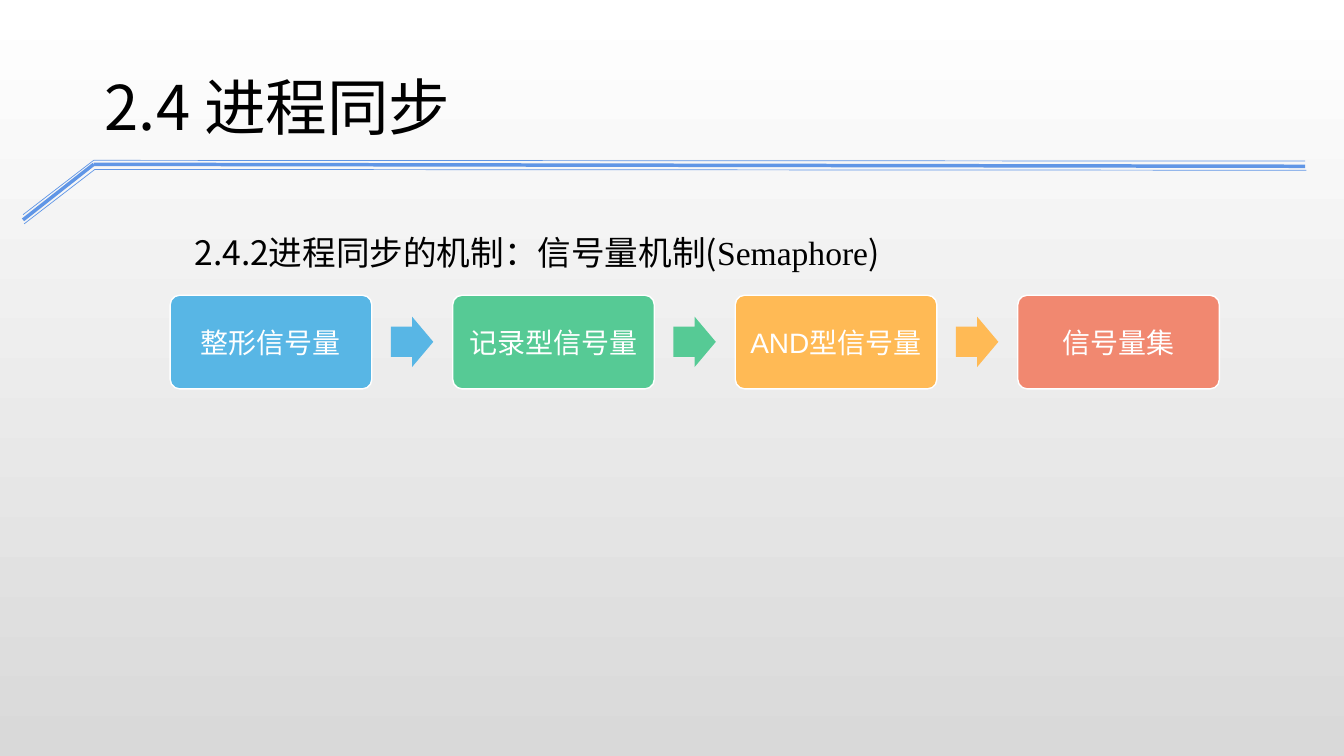
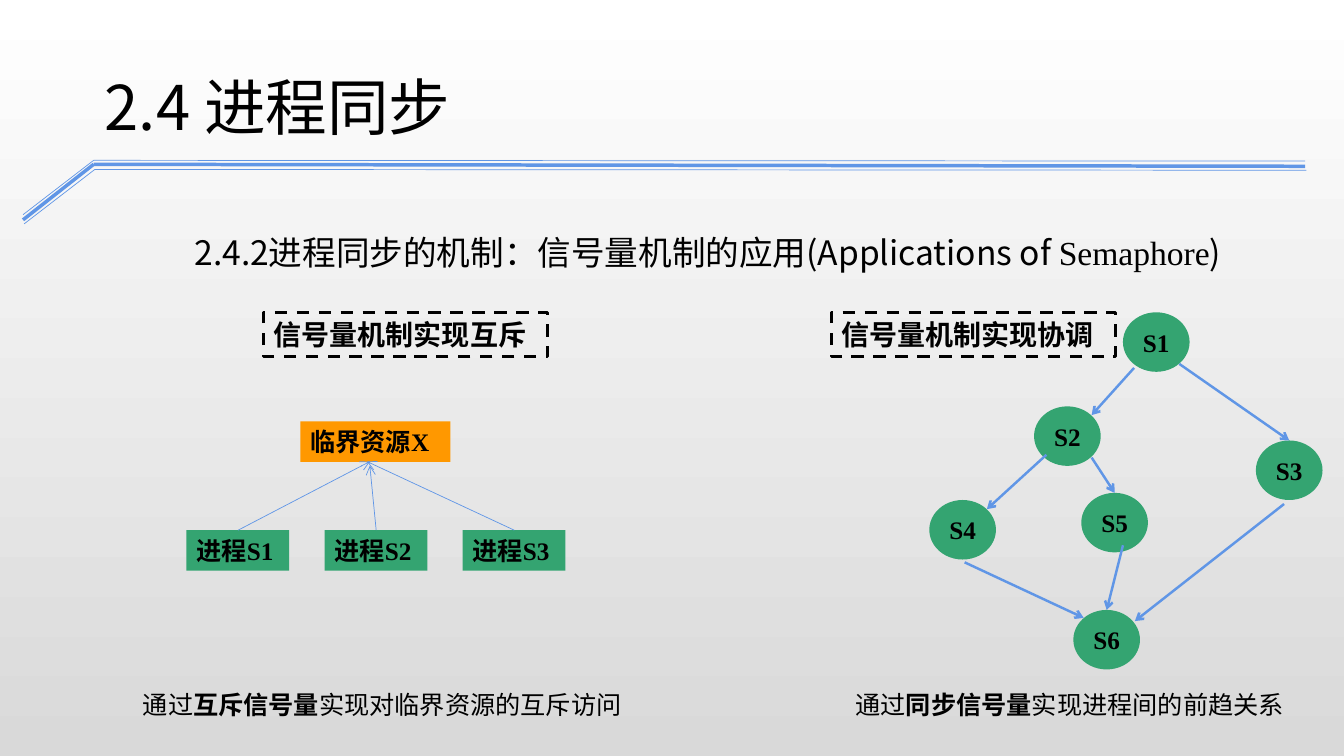
from lxml import etree
from pptx import Presentation
from pptx.dml.color import RGBColor
from pptx.enum import dml, shapes, text
from pptx.oxml import ns
from pptx.util import Cm, Pt

rgb = RGBColor.from_string
SHAPE = shapes.MSO_SHAPE
SANS, ARIAL, TIMES = "Noto Sans CJK JP", "Arial", "Times New Roman"
BLACK, WHITE, BLUE, GREEN, ORANGE = "000000", "FFFFFF", "6096E6", "34A471", "FF9800"


def add_box(s, kind, at, runs=(), size=18, color=BLACK, fill=None, center=False, inset=None):
    at = [Cm(v) for v in at]
    if kind is None:
        sp = s.shapes.add_textbox(*at)
    else:
        sp = s.shapes.add_shape(kind, *at)
        sp.shadow.inherit = False
        sp.line.fill.background()
        if fill:
            sp.fill.solid()
            sp.fill.fore_color.rgb = rgb(fill)
        else:
            sp.fill.background()
    tf = sp.text_frame
    tf.word_wrap = True
    tf.vertical_anchor = text.MSO_ANCHOR.MIDDLE if center else text.MSO_ANCHOR.TOP
    if inset is not None:
        tf.margin_left = tf.margin_right = tf.margin_top = tf.margin_bottom = Cm(inset)
    p = tf.paragraphs[0]
    p.alignment = text.PP_ALIGN.CENTER if center else text.PP_ALIGN.LEFT
    for words, font, bold in runs:
        r = p.add_run()
        r.text = words
        r.font.size, r.font.name, r.font.bold = Pt(size), font, bold
        r.font.color.rgb = rgb(color)
        etree.SubElement(r.font._element, ns.qn("a:ea"), typeface=SANS)
    return sp


def add_line(s, x1, y1, x2, y2, width, arrow=False):
    c = s.shapes.add_connector(shapes.MSO_CONNECTOR.STRAIGHT, Cm(x1), Cm(y1), Cm(x2), Cm(y2))
    c.line.color.rgb = rgb(BLUE)
    c.line.width = Pt(width)
    if arrow:
        etree.SubElement(c.line._get_or_add_ln(), ns.qn("a:tailEnd"), type="arrow")
    etree.SubElement(c._element.spPr, ns.qn("a:effectLst"))


prs = Presentation()
prs.slide_width, prs.slide_height = Cm(33.87), Cm(19.05)

bg = prs.slide_master.background.fill
bg.gradient()
bg.gradient_angle = 270
for stop, color, position in zip(bg.gradient_stops, (WHITE, "D9D9D9"), (0, 1)):
    stop.color.rgb = rgb(color)
    stop.position = position

bands = [
    ((0.58, 5.41), (2.36, 4.04), (32.89, 4.06), 0.5),
    ((0.58, 5.54), (2.36, 4.14), (32.89, 4.19), 2.5),
    ((0.61, 5.64), (2.39, 4.27), (32.92, 4.29), 0.5),
]
headings = ["2.4.2进程同步的机制：信号量机制(", "2.4.2进程同步的机制：信号量机制的应用(Applications of "]
for heading in headings:
    s = prs.slides.add_slide(prs.slide_layouts[6])
    for start, bend, end, width in bands:
        add_line(s, *start, *bend, width)
        add_line(s, *bend, *end, width)
    runs = [(heading, SANS, False), ("Semaphore", TIMES, False), (")", SANS, False)]
    sp = add_box(s, None, (4.65, 5.21, 29.08, 1.8), runs, 24)
    sp.text_frame.paragraphs[0].line_spacing = 1.5
    add_box(s, None, (2.39, 1.6, 24.18, 2.13), [("2.4 进程同步", SANS, False)], 44)

overview, uses = prs.slides

steps = [("整形信号量", "58B6E5"), ("记录型信号量", "56CA95"),
         ("AND型信号量", "FFBA55"), ("信号量集", "F18870")]
for i, (name, color) in enumerate(steps):
    x = 4.29 + 7.12 * i
    sp = add_box(overview, SHAPE.ROUNDED_RECTANGLE, (x, 7.44, 5.08, 2.36),
                 [(name, ARIAL, False)], 20, WHITE, color, True, 0.1)
    sp.adjustments[0] = 0.1
    sp.line.color.rgb = rgb(WHITE)
    sp.line.width = Pt(1)
    if i < len(steps) - 1:
        sp = add_box(overview, SHAPE.RIGHT_ARROW, (x + 5.56, 7.98, 1.07, 1.27), fill=color)
        sp.adjustments[0], sp.adjustments[1] = 0.6, 0.5

for x, label in [(6.65, "信号量机制实现互斥"), (20.96, "信号量机制实现协调")]:
    sp = add_box(uses, SHAPE.RECTANGLE, (x, 7.87, 7.16, 1.12), [(label, ARIAL, True)], 20)
    sp.line.color.rgb = rgb(BLACK)
    sp.line.width = Pt(2.25)
    sp.line.dash_style = dml.MSO_LINE.DASH

add_box(uses, SHAPE.RECTANGLE, (7.57, 10.62, 3.78, 1.02), [("临界资源X", TIMES, True)], fill=ORANGE)
for i, target in enumerate([(9.32, 11.63), (9.32, 11.73), (9.25, 11.63)]):
    x = 4.7 + 3.48 * i
    sp = add_box(uses, SHAPE.RECTANGLE, (x, 13.36, 2.59, 1.02), [(f"进程S{i + 1}", TIMES, True)], fill=GREEN)
    sp.text_frame.word_wrap = False
    add_line(uses, x + 1.3, 13.36, *target, 0.5, True)

nodes = [(28.3, 7.87), (26.06, 10.24), (31.65, 11.1), (23.42, 12.6), (27.25, 12.42), (27.05, 15.37)]
for i, (x, y) in enumerate(nodes, 1):
    add_box(uses, SHAPE.OVAL, (x, y, 1.68, 1.5), [(f"S{i}", TIMES, True)], fill=GREEN, center=True, inset=0)

edges = [
    (28.58, 9.27, 27.51, 10.46),
    (26.37, 11.46, 24.87, 12.83),
    (27.51, 11.53, 28.09, 12.42),
    (29.72, 9.17, 32.49, 11.1),
    (24.31, 14.17, 27.31, 15.57),
    (28.3, 13.74, 27.89, 15.37),
    (32.36, 12.7, 28.6, 15.65),
]
for edge in edges:
    add_line(uses, *edge, 1.75, True)

captions = [
    (3.35, 13.79, "互斥信号量", "实现对临界资源的互斥访问"),
    (21.31, 12.12, "同步信号量", "实现进程间的前趋关系"),
]
for x, width, term, rest in captions:
    runs = [("通过", ARIAL, False), (term, ARIAL, True), (rest, ARIAL, False)]
    add_box(uses, None, (x, 17.25, width, 1.02), runs)

prs.save("out.pptx")
